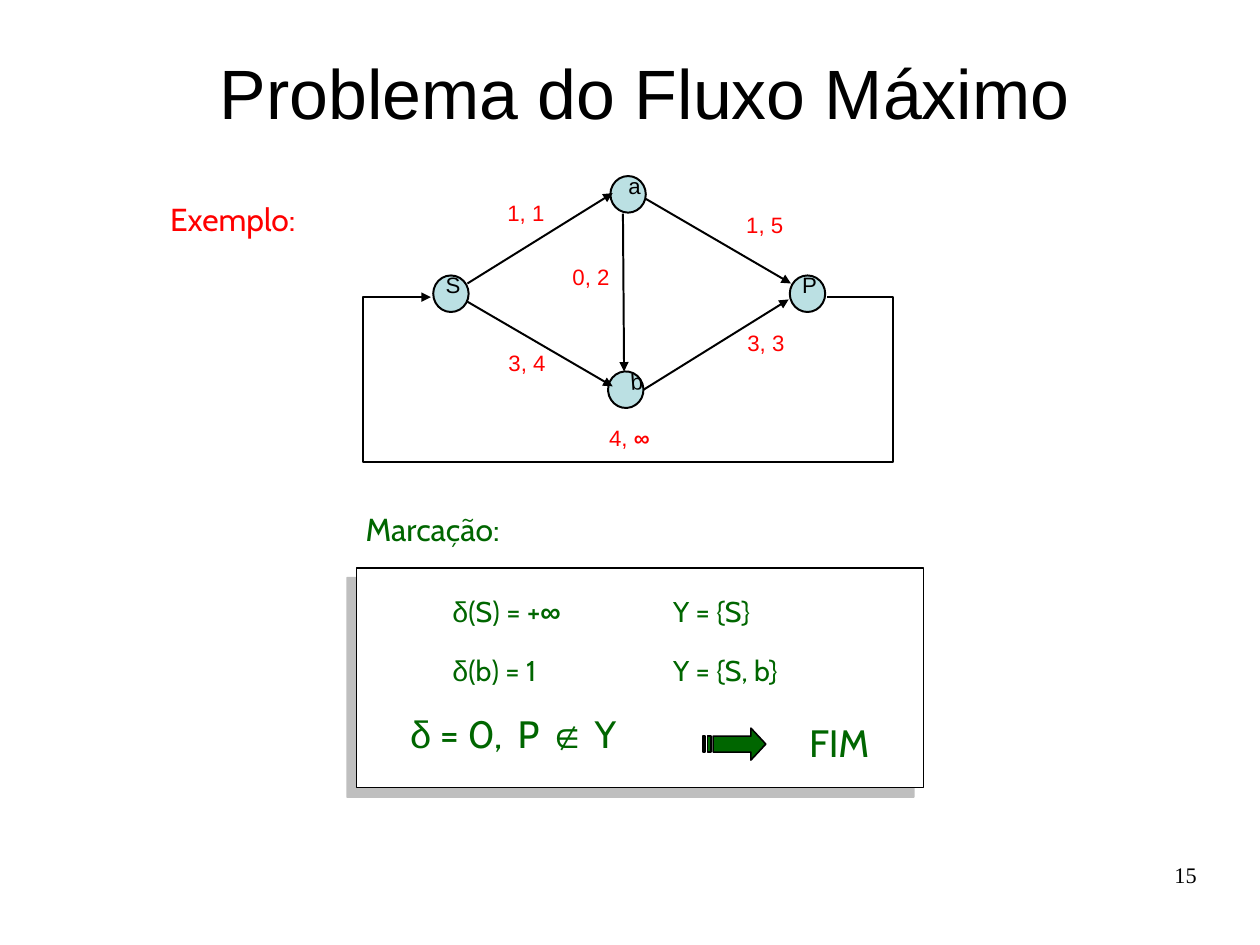
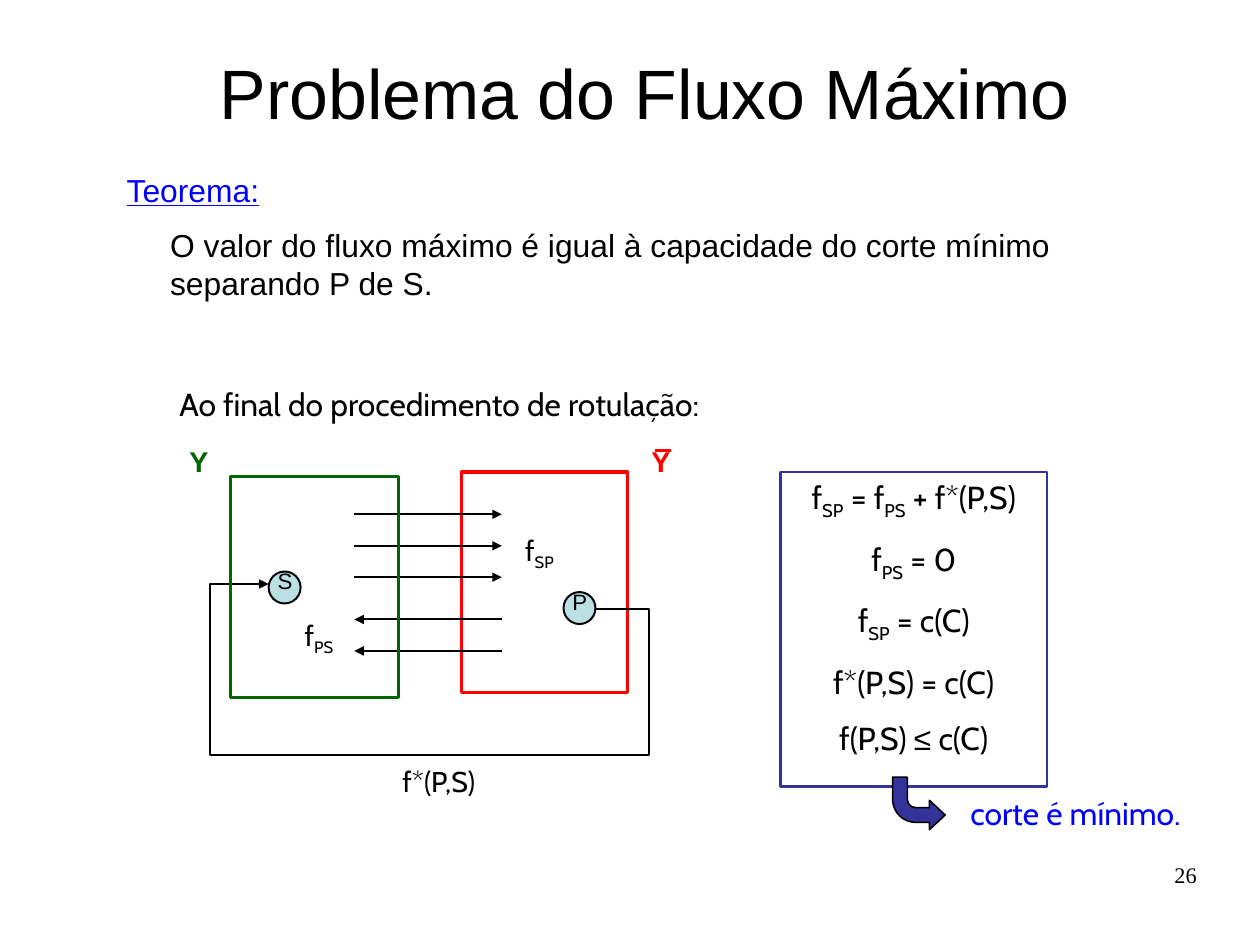
"""Build two slides on the maximum flow problem, on a grid of tenths of an inch."""
import pptx
import pptx.dml.color
import pptx.enum.shapes
import pptx.enum.text
import pptx.oxml
import pptx.oxml.ns
import pptx.util

BLACK = pptx.dml.color.RGBColor(0x00, 0x00, 0x00)
WHITE = pptx.dml.color.RGBColor(0xFF, 0xFF, 0xFF)
RED = pptx.dml.color.RGBColor(0xFF, 0x00, 0x00)
GREEN = pptx.dml.color.RGBColor(0x00, 0x66, 0x00)
BLUE = pptx.dml.color.RGBColor(0x00, 0x00, 0xFF)
INDIGO = pptx.dml.color.RGBColor(0x33, 0x33, 0x99)
NODE_FILL = pptx.dml.color.RGBColor(0xBB, 0xE0, 0xE3)

SLIDE_WIDTH, SLIDE_HEIGHT = pptx.util.Cm(28), pptx.util.Cm(21)
HEADING_FONT, BODY_FONT, NUMBER_FONT = "Arial", "Cabin", "Times New Roman"
TITLE = "Problema do Fluxo Máximo"
SHAPES = pptx.enum.shapes.MSO_SHAPE
ALIGN = pptx.enum.text.PP_ALIGN
ANCHOR = pptx.enum.text.MSO_ANCHOR


def grid(count):
    return pptx.util.Inches(count / 10)


def sub(text):
    return text, {"baseline": True}


def symbol(text, bold=False):
    return text, {"font": HEADING_FONT, "bold": bold}


def add_span(para, text, size, color, font=BODY_FONT, bold=False,
             underline=False, baseline=False):
    span = para.add_run()
    span.text = text
    span.font.size = pptx.util.Pt(size)
    span.font.name = font
    span.font.bold = bold
    span.font.underline = underline
    span.font.color.rgb = color
    if baseline:
        span.font._element.set("baseline", "-25000")


def fill_frame(frame, paragraphs, size, color, font=BODY_FONT, bold=False,
               align=ALIGN.LEFT, anchor=ANCHOR.TOP, spacing=1.01,
               before=0, insets=(1, 0.5)):
    frame.word_wrap = True
    frame.vertical_anchor = anchor
    frame.margin_left = frame.margin_right = grid(insets[0])
    frame.margin_top, frame.margin_bottom = grid(insets[1]), grid(min(insets[1], 0.5))
    for index, spans in enumerate(paragraphs):
        para = frame.paragraphs[0] if index == 0 else frame.add_paragraph()
        para.alignment = align
        para.line_spacing = spacing
        if index:
            para.space_before = pptx.util.Pt(before)
        for item in spans:
            text, changes = (item, {}) if isinstance(item, str) else item
            add_span(para, text, **{"size": size, "color": color, "font": font,
                                    "bold": bold, **changes})


def add_text(page, area, spans, size, color, **options):
    box = page.shapes.add_textbox(*map(grid, area))
    fill_frame(box.text_frame, [spans], size, color, **options)
    return box


def add_label(page, left, top, width, spans, color, size=14, bold=False):
    return add_text(page, (left, top, width, 3.1), spans, size, color, bold=bold,
                    font=HEADING_FONT, spacing=0.54, insets=(1, size * 0.07))


def add_tab_stop(box, position):
    properties = box.text_frame.paragraphs[0]._p.get_or_add_pPr()
    properties.append(pptx.oxml.parse_xml(
        f'<a:tabLst {pptx.oxml.ns.nsdecls("a")}>'
        f'<a:tab pos="{grid(position)}" algn="l"/></a:tabLst>'))


def style_shape(shape, fill, line, weight):
    shape.shadow.inherit = False
    if fill is None:
        shape.fill.background()
    else:
        shape.fill.solid()
        shape.fill.fore_color.rgb = fill
    shape.line.color.rgb = line
    shape.line.width = pptx.util.Pt(weight)


def add_shape(page, kind, area, fill, line=BLACK, weight=1.25):
    shape = page.shapes.add_shape(kind, *map(grid, area))
    style_shape(shape, fill, line, weight)
    return shape


def add_outline(page, contours, fill, weight, close):
    builder = page.shapes.build_freeform(*map(grid, contours[0][0]))
    for index, (start, *corners) in enumerate(contours):
        if index:
            builder.move_to(*map(grid, start))
        builder.add_line_segments([tuple(map(grid, point)) for point in corners], close=close)
    shape = builder.convert_to_shape()
    style_shape(shape, fill, BLACK, weight)
    return shape


def add_arrowhead(shape):
    outline = shape.element.spPr.find(pptx.oxml.ns.qn("a:ln"))
    outline.append(pptx.oxml.parse_xml(
        f'<a:tailEnd {pptx.oxml.ns.nsdecls("a")} type="triangle"/>'))


def add_line(page, start, end, color=BLACK, weight=1.25, arrow=True):
    line = page.shapes.add_connector(pptx.enum.shapes.MSO_CONNECTOR.STRAIGHT,
                                     *map(grid, (*start, *end)))
    line.line.color.rgb = color
    line.line.width = pptx.util.Pt(weight)
    if arrow:
        add_arrowhead(line)
    line.element.spPr.append(pptx.oxml.parse_xml(
        f'<a:effectLst {pptx.oxml.ns.nsdecls("a")}/>'))


def add_return_loop(page, start, end, left, right, bottom):
    corners = [start, (right, start[1]), (right, bottom), (left, bottom), (left, end[1]), end]
    add_arrowhead(add_outline(page, [corners], None, 1.25, close=False))


def add_striped_arrow(page):
    top, middle, bottom = 64.4, 65.1, 65.8
    head = [(62.4, top), (65.7, top), (65.7, 63.7), (67, middle), (65.7, 66.5),
            (65.7, bottom), (62.4, bottom)]
    stripes = [[(left, top), (right, top), (right, bottom), (left, bottom)]
               for left, right in [(61.5, 61.7), (61.9, 62.2)]]
    add_outline(page, [head, *stripes], GREEN, 1, close=True)


def add_node(page, letter, area, shift, turn=0):
    left, top, _, _ = area
    add_shape(page, SHAPES.OVAL, area, NODE_FILL).rotation = turn
    add_label(page, left + shift, top - 0.4, 3.6, [letter], BLACK).rotation = turn


def add_shadow(shape):
    effects = shape.element.spPr.find(pptx.oxml.ns.qn("a:effectLst"))
    effects.append(pptx.oxml.parse_xml(
        f'<a:outerShdw {pptx.oxml.ns.nsdecls("a")} blurRad="0" dist="107950" dir="8100000"'
        ' algn="ctr" rotWithShape="0"><a:srgbClr val="808080"><a:alpha val="50000"/>'
        '</a:srgbClr></a:outerShdw>'))


def add_page(deck, number):
    page = deck.slides.add_slide(deck.slide_layouts[6])
    add_text(page, (17.4, 0, 78.1, 16.8), [TITLE], 44, BLACK, font=HEADING_FONT,
             align=ALIGN.CENTER, anchor=ANCHOR.MIDDLE, spacing=0.93)
    add_text(page, (79, 75.5, 25.7, 5.7), [number], 14, BLACK, font=NUMBER_FONT,
             align=ALIGN.RIGHT, spacing=0.95, insets=(0, 0))
    return page


def add_network(page):
    for letter, left, top, shift, turn in [("S", 37.9, 24.1, 0.1, 0), ("P", 69.1, 24.1, 0.1, 0),
                                           ("a", 53.4, 15.4, 0.6, 0), ("b", 53.2, 32.5, 1, 356)]:
        add_node(page, letter, (left, top, 3.1, 3.2), shift, turn)
    for start, end in [((56.5, 17.4), (69.2, 24.8)), ((40.9, 26.4), (53.6, 33.8)),
                       ((54.5, 18.7), (54.6, 32.5)), ((40.9, 24.8), (53.6, 16.9)),
                       ((56.3, 34.1), (69, 26.2))]:
        add_line(page, start, end)
    add_return_loop(page, (72.4, 26), (37.7, 26), 31.8, 78.1, 40.4)
    for flow, left, top in [("1, 1", 43.4, 17.4), ("3, 3", 64.4, 28.8), ("1, 5", 64.3, 18.4),
                            ("0, 2", 49.1, 23), ("3, 4", 43.5, 30.5)]:
        add_label(page, left, top, 5.8, [flow], RED)
    add_label(page, 52.3, 37.1, 6.1, ["4, ", symbol("∞", bold=True)], RED)


def add_marking(page):
    add_text(page, (31, 44.1, 16.1, 4.9), ["Marcação:"], 20, GREEN)
    add_shadow(add_shape(page, SHAPES.RECTANGLE, (31.2, 49.7, 49.6, 19.2), WHITE, weight=1))
    steps = [([symbol("δ"), "(S) = +", symbol("∞", bold=True)], ["Y = {S}"]),
             ([symbol("δ"), "(b) = 1"], ["Y = {S, b}"])]
    for row, cells in enumerate(steps):
        for column, spans in enumerate(cells):
            add_text(page, (38.6 + 19.3 * column, 51.4 + 5.2 * row, 20, 4.9), spans, 18, GREEN)
    result = add_text(page, (34.9, 61.6, 24.8, 4.9),
                      [symbol("δ"), " = 0,\tP ", symbol("∉"), " Y"], 24, GREEN)
    add_tab_stop(result, 9.4)
    add_striped_arrow(page)
    add_text(page, (69.8, 62.4, 10.1, 4.9), ["FIM"], 24, GREEN)


def add_theorem(page):
    add_text(page, (10.1, 14.7, 88.2, 4.5), [("Teorema:", {"underline": True})], 20, BLUE,
             font=HEADING_FONT, spacing=0.93)
    add_text(page, (13.9, 19.2, 84.4, 9), ["O valor do fluxo máximo é igual à capacidade do "
             "corte mínimo separando P de S."], 20, BLACK, font=HEADING_FONT)
    add_text(page, (14.7, 33.1, 88.2, 6.4), ["Ao final do procedimento de rotulação:"], 20, BLACK)


def add_cut(page):
    add_shape(page, SHAPES.RECTANGLE, (40.4, 41.3, 14.5, 19.3), None, RED, 2)
    for row in range(3):
        add_line(page, (31, 45 + 2.75 * row), (43.9, 45 + 2.75 * row))
    for row in range(2):
        add_line(page, (43.9, 54.2 + 2.75 * row), (31, 54.2 + 2.75 * row))
    for letter, left, top in [("S", 23.5, 50), ("P", 49.3, 51.8)]:
        add_node(page, letter, (left, top, 2.8, 2.8), -0.2)
    add_return_loop(page, (52.1, 53.3), (23.5, 51.1), 18.4, 56.8, 66.1)
    add_shape(page, SHAPES.RECTANGLE, (20.2, 41.7, 14.7, 19.3), None, GREEN, 2)
    for left, color in [(15.6, GREEN), (56, RED)]:
        add_label(page, left, 38.8, 4, ["Y"], color, size=18, bold=True)
    add_line(page, (57.3, 39.4), (58.7, 39.4), RED, 1.5, arrow=False)
    for left, top, width, spans in [(33.1, 66.3, 10.6, ["f*(P,S)"]),
                                    (44.8, 46.1, 4.8, ["f", sub("SP")]),
                                    (25.5, 53.5, 4.8, ["f", sub("PS")])]:
        add_text(page, (left, top, width, 4.8), spans, 18, BLACK, align=ALIGN.CENTER)


def add_proof(page):
    panel = add_shape(page, SHAPES.RECTANGLE, (68.3, 41.3, 23.3, 27.5), WHITE, INDIGO, 1.5)
    formulas = [["f", sub("SP"), " = f", sub("PS"), " + f*(P,S)"],
                ["f", sub("PS"), " = 0"],
                ["f", sub("SP"), " = c(C)"],
                ["f*(P,S) = c(C)"],
                ["f(P,S) ", symbol("≤"), " c(C)"]]
    fill_frame(panel.text_frame, formulas, 20, BLACK, align=ALIGN.CENTER, before=11.2)
    arrow = add_shape(page, SHAPES.BENT_ARROW, (78.1, 68, 4.6, 4.6), INDIGO, weight=1)
    for index, share in enumerate((0.28, 0.28, 0.3, 0.44)):
        arrow.adjustments[index] = share
    arrow.element.spPr.xfrm.set("flipV", "1")
    add_text(page, (83.5, 68.9, 21.2, 8.7), ["corte é mínimo."], 20, BLUE, align=ALIGN.CENTER)


def main():
    deck = pptx.Presentation()
    deck.slide_width, deck.slide_height = SLIDE_WIDTH, SLIDE_HEIGHT

    example = add_page(deck, "15")
    add_text(example, (13.9, 16.5, 17.3, 5.5), ["Exemplo:"], 20, RED, insets=(1, 0.9))
    add_network(example)
    add_marking(example)

    theorem = add_page(deck, "26")
    add_theorem(theorem)
    add_cut(theorem)
    add_proof(theorem)

    deck.save("out.pptx")


if __name__ == "__main__":
    main()
